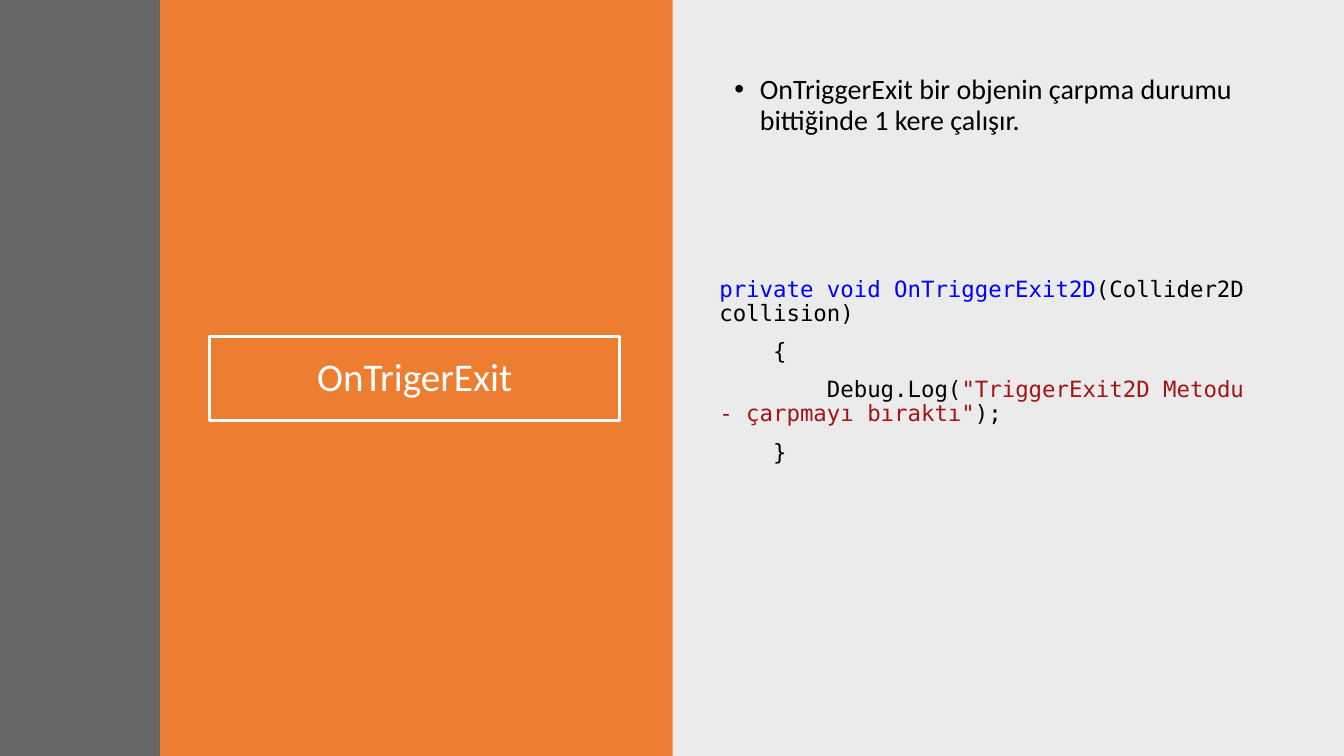
from lxml.etree import SubElement
from pptx import Presentation
from pptx.dml.color import RGBColor
from pptx.enum.shapes import MSO_SHAPE
from pptx.enum.text import MSO_ANCHOR, MSO_AUTO_SIZE, PP_ALIGN
from pptx.oxml.ns import qn
from pptx.util import Cm, Pt

COLORS = {
    "grey": "404040",
    "orange": "ED7D31",
    "black": "000000",
    "white": "FFFFFF",
    "keyword": "0000FF",
    "string": "A31515",
}
WIDTH, HEIGHT = 33.87, 19.05
GREY_EDGE, ORANGE_EDGE = 4.03, 16.95
BODY_WIDTH, BODY_HEIGHT = 14.05, 7.09

DESCRIPTION = [[("OnTriggerExit bir objenin çarpma durumu bittiğinde 1 kere çalışır.", "black")]]
CODE = [
    [("private void OnTriggerExit2D", "keyword"), ("(Collider2D collision)", "black")],
    [("    {", "black")],
    [
        ("        Debug.Log(", "black"),
        ('"TriggerExit2D Metodu - çarpmayı bıraktı"', "string"),
        (");", "black"),
    ],
    [("    }", "black")],
]


def color(name):
    """Return the named colour."""
    return RGBColor.from_string(COLORS[name])


def apply_format(target, values):
    """Set each attribute of the target from a dict."""
    for name, value in values.items():
        setattr(target, name, value)


class SlideBuilder:
    """Holds the slide and its text style."""

    frame_format = {"word_wrap": True, "auto_size": MSO_AUTO_SIZE.NONE}
    paragraph_format = {"line_spacing": 0.9}
    title_font = {"name": "Calibri", "size": Pt(28)}
    body_font = {"name": "Calibri", "size": Pt(20)}
    code_font = {"name": "DejaVu Sans Mono", "size": Pt(16)}

    def __init__(self, presentation):
        """Add a title-only slide."""
        self.slide = presentation.slides.add_slide(presentation.slide_layouts[5])

    def panel(self, left, right, fill, opacity=100):
        """Add a full-height colour panel."""
        shape = self.slide.shapes.add_shape(
            MSO_SHAPE.RECTANGLE, Cm(left), Cm(0), Cm(right - left), Cm(HEIGHT)
        )
        shape.shadow.inherit = False
        shape.fill.solid()
        shape.fill.fore_color.rgb = color(fill)
        shape.line.fill.background()
        if opacity < 100:
            fill_color = shape.element.spPr.find(".//" + qn("a:srgbClr"))
            SubElement(fill_color, qn("a:alpha"), val=str(opacity * 1000))

    def fill_text(self, frame, paragraphs, font, bullet=False, **extra):
        """Put paragraphs of coloured runs into a text frame."""
        apply_format(frame, self.frame_format)
        for index, runs in enumerate(paragraphs):
            paragraph = frame.add_paragraph() if index else frame.paragraphs[0]
            if bullet:
                properties = paragraph._p.get_or_add_pPr()
                properties.set("marL", str(Cm(0.64)))
                properties.set("indent", str(-Cm(0.64)))
                SubElement(properties, qn("a:buFont"), typeface="Arial")
                SubElement(properties, qn("a:buChar"), char="•")
            spacing = {"space_before": Pt(10 if index else 0)}
            apply_format(paragraph, {**self.paragraph_format, **spacing, **extra})
            for text, color_name in runs:
                run = paragraph.add_run()
                run.text = text
                apply_format(run.font, font)
                run.font.color.rgb = color(color_name)

    def title(self, text, left, top, width, height):
        """Place the outlined title above the panels."""
        title = self.slide.shapes.title
        title.element.getparent().append(title.element)
        position = {"left": left, "top": top, "width": width, "height": height}
        apply_format(title, {name: Cm(value) for name, value in position.items()})
        title.line.color.rgb = color("white")
        title.line.width = Pt(2)
        title.text_frame.vertical_anchor = MSO_ANCHOR.MIDDLE
        self.fill_text(title.text_frame, [[(text, "white")]], self.title_font, alignment=PP_ALIGN.CENTER)

    def text(self, left, top, paragraphs, font, bullet=False):
        """Add a body text box."""
        box = self.slide.shapes.add_textbox(Cm(left), Cm(top), Cm(BODY_WIDTH), Cm(BODY_HEIGHT))
        self.fill_text(box.text_frame, paragraphs, font, bullet)


def main():
    """Build and save the slide."""
    presentation = Presentation()
    apply_format(presentation, {"slide_width": Cm(WIDTH), "slide_height": Cm(HEIGHT)})
    builder = SlideBuilder(presentation)
    builder.panel(ORANGE_EDGE, WIDTH, "black", opacity=8)
    builder.panel(GREY_EDGE, ORANGE_EDGE, "orange")
    builder.panel(0, GREY_EDGE, "grey", opacity=80)
    builder.title("OnTrigerExit", 5.28, 8.48, 10.34, 2.11)
    builder.text(18.26, 1.78, DESCRIPTION, builder.body_font, bullet=True)
    builder.text(17.88, 6.88, CODE, builder.code_font)
    presentation.save("out.pptx")


if __name__ == "__main__":
    main()
